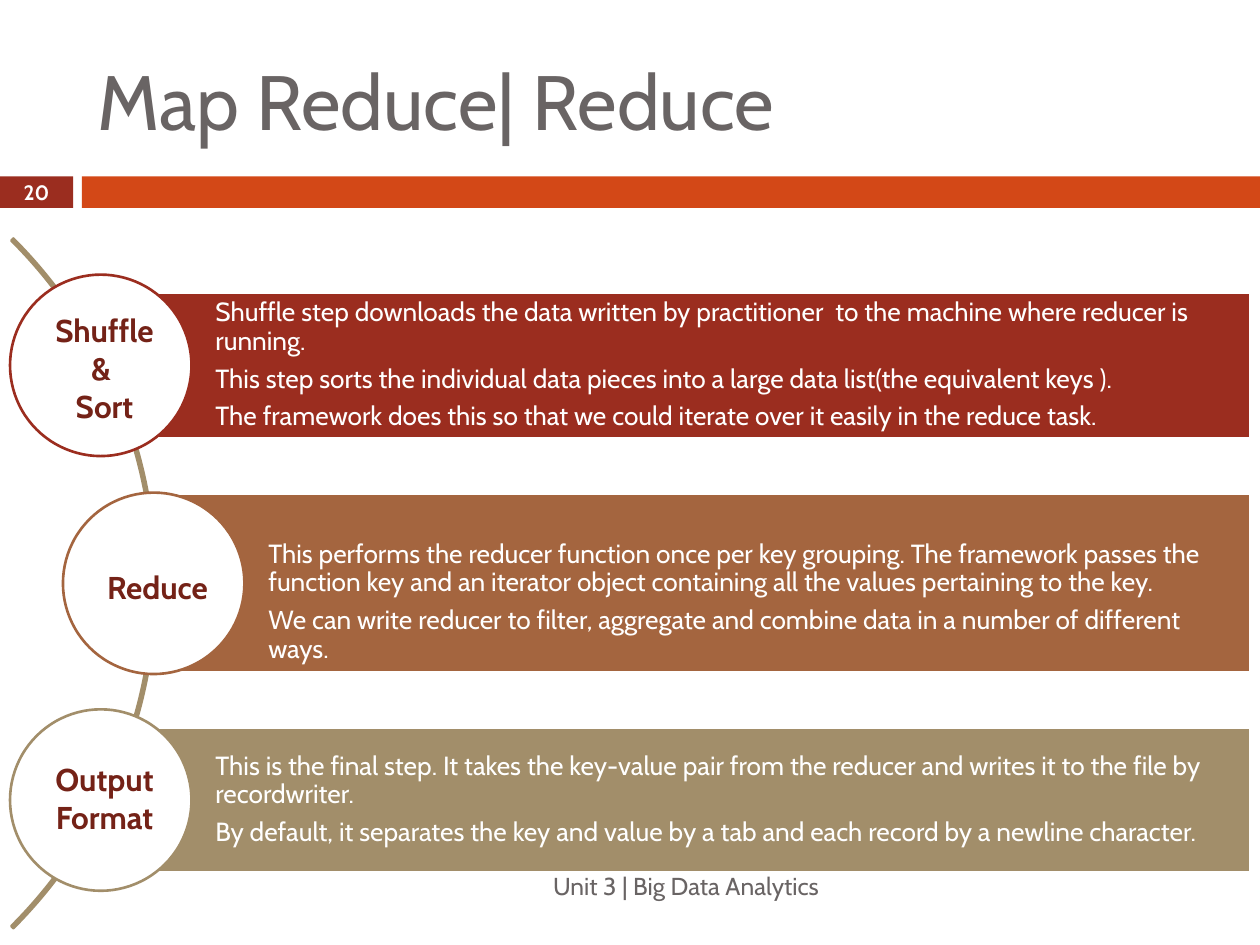
from dataclasses import dataclass

from pptx import Presentation
from pptx import util as u
from pptx.dml.color import RGBColor
from pptx.enum import shapes, text

FONT = "Cabin"
COLORS = {
    "white": "FFFFFF",
    "grey": "696464",
    "orange": "D34817",
    "red": "9B2D1F",
    "brown": "A4653F",
    "sand": "A28E6A",
    "label": "742217",
}
BAR_RIGHT = 9.92
CIRCLE = 1.44
LABEL = 1.0


@dataclass(frozen=True)
class Step:
    label: list[str]
    details: list[str]
    color: str
    center_x: float
    center_y: float
    bar_height: float
    label_top: float
    inset_top: float = 0.04


STEPS = [
    Step(
        ["Shuffle ", "& ", "Sort"],
        [
            "Shuffle step downloads the data written by practitioner  to the machine where reducer is running.",
            "This step sorts the individual data pieces into a large data list(the equivalent keys ).",
            "The framework does this so that we could iterate over it easily in the reduce task.",
        ],
        "red", 0.8, 2.9, 1.15, 2.42,
    ),
    Step(
        ["Reduce"],
        [
            "This performs the reducer function once per key grouping. The framework passes the function key and an iterator object containing all the values pertaining to the key.",
            "We can write reducer to filter, aggregate and combine data in a number of different ways.",
        ],
        "brown", 1.22, 4.63, 1.42, 4.16, 0.34,
    ),
    Step(
        ["Output Format"],
        [
            "This is the final step. It takes the key-value pair from the reducer and writes it to the file by recordwriter.",
            "By default, it separates the key and value by a tab and each record by a newline character.",
        ],
        "sand", 0.8, 6.35, 1.15, 5.83,
    ),
]


def rgb(name: str) -> RGBColor:
    return RGBColor.from_string(COLORS[name])


def write(frame, paragraphs: list[str], *, size: float, color: str,
          bold: bool = False, align=text.PP_ALIGN.LEFT,
          insets=(0.1, 0.05, 0.1, 0.05), line_spacing: float = 1.0,
          space_after: float = 0) -> None:
    frame.word_wrap = True
    frame.auto_size = text.MSO_AUTO_SIZE.NONE
    frame.vertical_anchor = text.MSO_ANCHOR.MIDDLE
    (frame.margin_left, frame.margin_top,
     frame.margin_right, frame.margin_bottom) = map(u.Inches, insets)
    for index, wording in enumerate(paragraphs):
        paragraph = frame.add_paragraph() if index else frame.paragraphs[0]
        paragraph.alignment = align
        paragraph.line_spacing = line_spacing
        paragraph.space_before = u.Pt(0)
        paragraph.space_after = u.Pt(space_after)
        run = paragraph.add_run()
        run.text = wording
        run.font.name = FONT
        run.font.size = u.Pt(size)
        run.font.bold = bold
        run.font.color.rgb = rgb(color)


def add_preset(slide, preset, left: float, top: float, width: float,
               height: float, fill: str | None = None, line: str | None = None):
    shape = slide.shapes.add_shape(
        preset, u.Inches(left), u.Inches(top), u.Inches(width), u.Inches(height))
    shape.shadow.inherit = False
    if fill:
        shape.fill.solid()
        shape.fill.fore_color.rgb = rgb(fill)
    else:
        shape.fill.background()
    if line:
        shape.line.color.rgb = rgb(line)
        shape.line.width = u.Pt(1.5)
    else:
        shape.line.fill.background()
    return shape


def add_text(slide, left: float, top: float, width: float, height: float,
             paragraphs: list[str], **style) -> None:
    box = slide.shapes.add_textbox(
        u.Inches(left), u.Inches(top), u.Inches(width), u.Inches(height))
    write(box.text_frame, paragraphs, **style)


def add_step(slide, step: Step) -> None:
    bar = add_preset(
        slide, shapes.MSO_SHAPE.RECTANGLE, step.center_x,
        step.center_y - step.bar_height / 2, BAR_RIGHT - step.center_x,
        step.bar_height, step.color, "white")
    write(bar.text_frame, step.details, size=15, color="white",
          insets=(0.91, step.inset_top, 0.04, 0.04),
          line_spacing=0.9, space_after=5.4)
    add_preset(
        slide, shapes.MSO_SHAPE.OVAL, step.center_x - CIRCLE / 2,
        step.center_y - CIRCLE / 2, CIRCLE, CIRCLE, "white", step.color)
    add_text(slide, step.center_x + 0.03 - LABEL / 2, step.label_top,
             LABEL, LABEL, step.label, size=18, color="label", bold=True,
             align=text.PP_ALIGN.CENTER)


def main() -> None:
    deck = Presentation()
    deck.slide_width, deck.slide_height = u.Inches(10), u.Inches(7.5)
    slide = deck.slides.add_slide(deck.slide_layouts[5])

    title = slide.shapes.title
    title.left, title.top = u.Inches(0.67), u.Inches(0.25)
    title.width, title.height = u.Inches(8.92), u.Inches(1.08)
    write(title.text_frame, ["Map Reduce| Reduce"], size=44, color="grey")

    rectangle = shapes.MSO_SHAPE.RECTANGLE
    page_badge = add_preset(slide, rectangle, 0, 1.4, 0.58, 0.25, "red")
    write(page_badge.text_frame, ["20"], size=11.9, color="white", bold=True,
          align=text.PP_ALIGN.CENTER, insets=(0, 0, 0, 0))
    add_preset(slide, rectangle, 0.65, 1.4, 9.35, 0.25, "orange")

    arc = add_preset(slide, shapes.MSO_SHAPE.BLOCK_ARC,
                     -6.5, 0.76, 7.74, 7.74, line="sand")
    for index, value in enumerate((189, 27, 0.003)):
        arc.adjustments[index] = value

    for step in STEPS:
        add_step(slide, step)

    add_text(slide, 0.67, 6.83, 5.93, 0.4, ["Unit 3 | Big Data Analytics"],
             size=14, color="grey", align=text.PP_ALIGN.RIGHT)
    deck.save("out.pptx")


if __name__ == "__main__":
    main()
